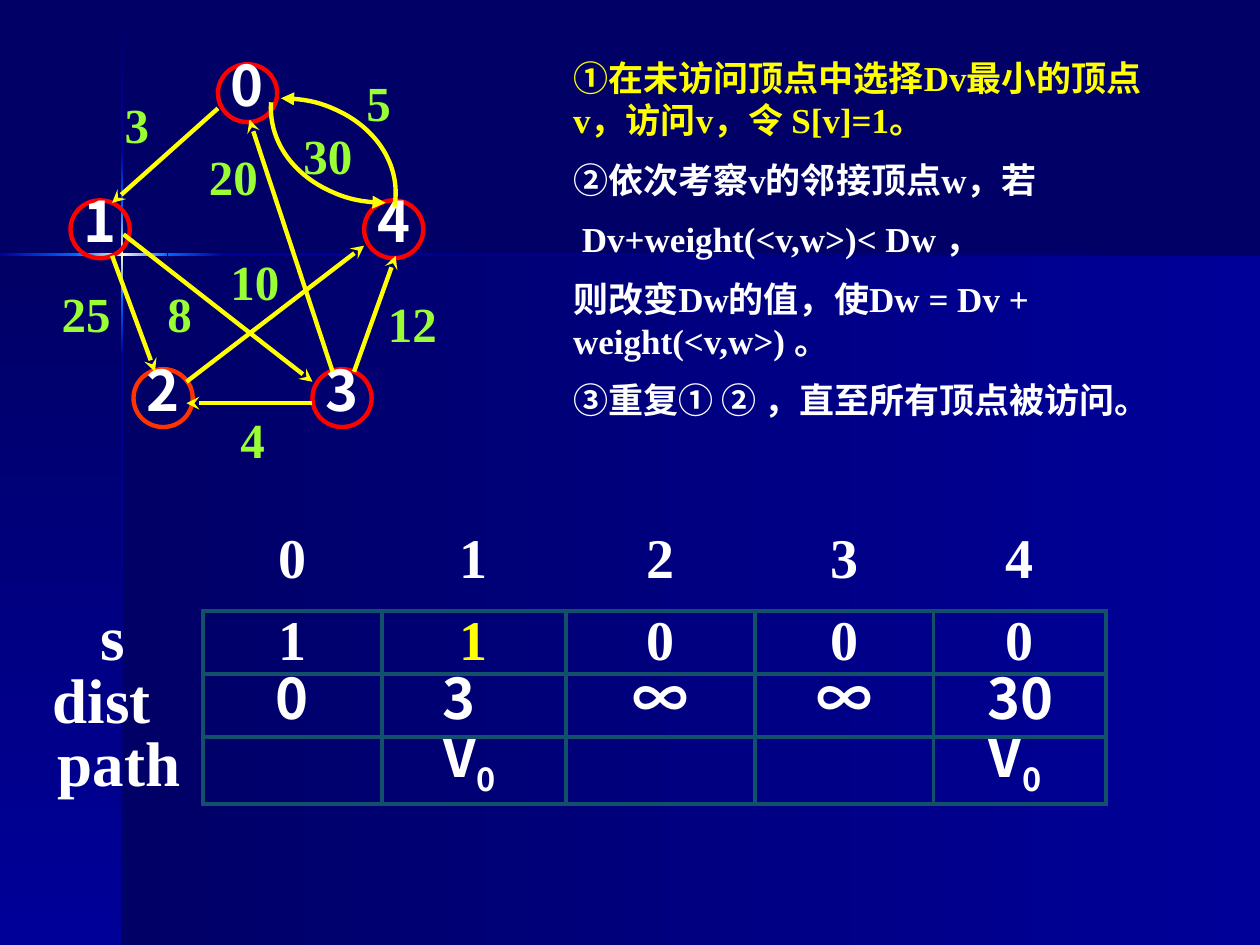
import pptx
import pptx.util
import pptx.dml.color
import pptx.enum.shapes
import pptx.enum.text
import pptx.oxml
import pptx.oxml.ns
from lxml import etree

Inches, Pt = pptx.util.Inches, pptx.util.Pt
SHAPE = pptx.enum.shapes.MSO_SHAPE
ALIGN = pptx.enum.text.PP_ALIGN
MIDDLE = pptx.enum.text.MSO_ANCHOR.MIDDLE

SERIF, SANS = "Times New Roman", "Noto Sans CJK SC"
WHITE, YELLOW, RED, GREEN, TEAL = "FFFFFF", "FFFF00", "FF0000", "99FF33", "135069"
NAVY, BLUE, GLOW, SPARK = "000066", "000099", "0066FF", "FFFFCC"

# left, top, width, height, angle, gradient colours
BACKDROP = [
    (0.97, 2.02, 9.03, 5.48, 0, [NAVY, BLUE]),
    (0, 2.02, 0.97, 5.48, 90, [NAVY, BLUE]),
    (0.96, 0.01, 0.02, 1.2, 90, [NAVY, BLUE]),
    (0.96, 2.82, 0.02, 4.68, 90, [BLUE, NAVY]),
    (1.77, 2.01, 8.23, 0.02, 0, [BLUE, NAVY]),
    (0.96, 2.38, 0.02, 0.44, 90, [GLOW, BLUE]),
    (0.96, 1.21, 0.02, 0.44, 90, [BLUE, GLOW]),
    (0.96, 1.65, 0.02, 0.73, 90, [GLOW, SPARK, GLOW]),
    (0, 2.01, 0.61, 0.02, 0, [BLUE, GLOW]),
    (1.33, 2.01, 0.44, 0.02, 0, [GLOW, BLUE]),
    (0.6, 2.01, 0.73, 0.02, 0, [GLOW, SPARK, GLOW]),
]

NODES = [("0", 1.73, 0.51, RED), ("1", 0.56, 1.59, RED), ("2", 1.06, 2.93, "FF3300"),
         ("3", 2.48, 2.93, RED), ("4", 2.89, 1.59, RED)]
WEIGHTS = [("3", 0.89, 0.7), ("25", 0.39, 2.2), ("8", 1.23, 2.2), ("10", 1.73, 1.95),
           ("20", 1.56, 1.11), ("4", 1.81, 3.2), ("5", 2.81, 0.53), ("30", 2.31, 0.95),
           ("12", 2.98, 2.28)]
EDGES = [(0.89, 2.03, 1.23, 2.95), (2.48, 3.2, 1.48, 3.2), (2.81, 2.95, 3.14, 2.03),
         (2.64, 2.95, 1.98, 0.95), (0.98, 1.86, 2.48, 3.03), (1.48, 3.03, 2.89, 1.95),
         (1.73, 0.86, 0.89, 1.61)]
# centre x, centre y, start angle, end angle
CURVES = [(2.23, 1.53, 270, 7), (3.06, 0.86, 90, 183)]
CURVE_RADII = (0.91, 0.75)

# text, colour, indent
STEPS = [
    ("①在未访问顶点中选择Dv最小的顶点v，访问v，令 S[v]=1。", YELLOW, 0),
    ("②依次考察v的邻接顶点w，若", WHITE, 0),
    ("Dv+weight(<v,w>)< Dw ，", WHITE, 0.07),
    ("则改变Dw的值，使Dw = Dv + weight(<v,w>) 。", WHITE, 0),
    ("③重复① ② ，直至所有顶点被访问。", WHITE, 0),
]

COLUMN_EDGES = [1.61, 3.03, 4.49, 5.99, 7.41, 8.78]
TABLE_TOP, ROW_HEIGHT = 4.85, 0.5
ROWS = [["1", "1", "0", "0", "0"],
        ["0", "3", "∞", "∞", "30"],
        ["", "V0", "", "", "V0"]]
LEFT_MARGINS = {1: 0.48, 4: 0.43}
ROW_LABELS = [("s", 0.7, 0.58), ("dist", 0.32, 1.25), ("path", 0.36, 1.25)]


def rgb(color):
    return pptx.dml.color.RGBColor.from_string(color)


def style(para, size, font, color):
    para.font.size, para.font.name, para.font.bold = Pt(size), font, True
    para.font.color.rgb = rgb(color)


def add_shape(kind, left, top, width, height, line=None):
    shape = slide.shapes.add_shape(
        kind, Inches(left), Inches(top), Inches(width), Inches(height))
    shape.shadow.inherit = False
    shape.fill.background()
    if line:
        shape.line.color.rgb, shape.line.width = rgb(line), Pt(2.5)
    else:
        shape.line.fill.background()
    return shape


def add_text(text, left, top, width, height, size, color, align=ALIGN.LEFT):
    box = slide.shapes.add_textbox(
        Inches(left), Inches(top), Inches(width), Inches(height))
    box.text_frame.word_wrap = True
    para = box.text_frame.paragraphs[0]
    para.text, para.alignment = text, align
    style(para, size, SERIF, color)
    return box


def add_arrowhead(shape, end, kind):
    etree.SubElement(shape.line._get_or_add_ln(), pptx.oxml.ns.qn("a:" + end), type=kind)


def fill_gradient(shape, angle, colors):
    stops = "".join(
        f'<a:gs pos="{100000 * i // (len(colors) - 1)}"><a:srgbClr val="{color}"/></a:gs>'
        for i, color in enumerate(colors))
    gradient = pptx.oxml.parse_xml(
        f'<a:gradFill {pptx.oxml.ns.nsdecls("a")}><a:gsLst>{stops}</a:gsLst>'
        f'<a:lin ang="{angle * 60000}" scaled="0"/></a:gradFill>')
    properties = shape._element.spPr
    properties.replace(properties.find(pptx.oxml.ns.qn("a:noFill")), gradient)


def set_borders(cell, color, width):
    for i, side in enumerate(("lnL", "lnR", "lnT", "lnB")):
        cell._tc.get_or_add_tcPr().insert(i, pptx.oxml.parse_xml(
            f'<a:{side} {pptx.oxml.ns.nsdecls("a")} w="{Pt(width)}"><a:solidFill>'
            f'<a:srgbClr val="{color}"/></a:solidFill></a:{side}>'))


def draw_graph():
    for name, left, top, color in NODES:
        node = add_shape(SHAPE.OVAL, left, top, 0.47, 0.46, color)
        frame = node.text_frame
        frame.word_wrap, frame.vertical_anchor = False, MIDDLE
        frame.margin_left = frame.margin_right = frame.margin_top = 0
        frame.margin_bottom = Inches(0.14)
        para = frame.paragraphs[0]
        para.text, para.alignment = name, ALIGN.CENTER
        style(para, 32, SANS, WHITE)
    for weight, left, top in WEIGHTS:
        add_text(weight, left, top, 0.25 + 0.25 * len(weight), 0.57, 28, GREEN)
    for edge in EDGES:
        arrow = slide.shapes.add_connector(
            pptx.enum.shapes.MSO_CONNECTOR.STRAIGHT, *map(Inches, edge))
        arrow.line.color.rgb, arrow.line.width = rgb(YELLOW), Pt(2.5)
        add_arrowhead(arrow, "tailEnd", "stealth")
        etree.SubElement(arrow._element.spPr, pptx.oxml.ns.qn("a:effectLst"))
    radius_x, radius_y = CURVE_RADII
    for x, y, start, end in CURVES:
        curve = add_shape(SHAPE.ARC, x - radius_x, y - radius_y,
                          2 * radius_x, 2 * radius_y, YELLOW)
        # Adjustments count in 100000ths, angles in 60000ths of a degree
        curve.adjustments[0], curve.adjustments[1] = start * 0.6, end * 0.6
        add_arrowhead(curve, "headEnd", "triangle")


def draw_steps():
    frame = add_text("", 4.45, 0.4, 5, 3.1, 20, WHITE).text_frame
    for i, (text, color, indent) in enumerate(STEPS):
        para = frame.add_paragraph() if i else frame.paragraphs[0]
        para.text = text
        if indent:
            para._p.get_or_add_pPr().set("marL", str(Inches(indent)))
        if i:
            para.space_before = Pt(10)
        style(para, 20, SERIF, color)


def draw_table():
    left, right = COLUMN_EDGES[0], COLUMN_EDGES[-1]
    frame = slide.shapes.add_table(
        len(ROWS), len(ROWS[0]), Inches(left), Inches(TABLE_TOP),
        Inches(right - left), Inches(ROW_HEIGHT * len(ROWS)))
    table = frame.table
    table.first_row = table.horz_banding = False
    for i, (start, end) in enumerate(zip(COLUMN_EDGES, COLUMN_EDGES[1:])):
        table.columns[i].width = Inches(end - start)
        add_text(str(i), (start + end) / 2 - 0.21, 4.1, 0.42, 0.63, 32, WHITE, ALIGN.CENTER)
    for r, values in enumerate(ROWS):
        label, label_left, label_width = ROW_LABELS[r]
        add_text(label, label_left, TABLE_TOP - 0.16 + r * ROW_HEIGHT,
                 label_width, 0.7, 36, WHITE)
        table.rows[r].height = Inches(ROW_HEIGHT)
        for c, value in enumerate(values):
            cell = table.cell(r, c)
            cell.fill.background()
            set_borders(cell, TEAL, 2.5)
            cell.vertical_anchor = MIDDLE
            cell.margin_left = cell.margin_right = cell.margin_top = cell.margin_bottom = 0
            para = cell.text_frame.paragraphs[0]
            para.alignment, para.line_spacing = ALIGN.CENTER, Pt(34)
            if r and c in LEFT_MARGINS:
                para.alignment, cell.margin_left = ALIGN.LEFT, Inches(LEFT_MARGINS[c])
            style(para, 32, SANS if r else SERIF, YELLOW if (r, c) == (0, 1) else WHITE)
            if value.startswith("V"):
                para.add_run().text = value[0]
                span = para.add_run()
                span.text = value[1:]
                span._r.get_or_add_rPr().set("baseline", "-25000")
            elif value:
                para.add_run().text = value


deck = pptx.Presentation()
deck.slide_width, deck.slide_height = Inches(10), Inches(7.5)
slide = deck.slides.add_slide(deck.slide_layouts[6])
slide.background.fill.solid()
slide.background.fill.fore_color.rgb = rgb(NAVY)
for *place, angle, colors in BACKDROP:
    fill_gradient(add_shape(SHAPE.RECTANGLE, *place), angle, colors)
draw_graph()
draw_steps()
draw_table()
deck.save("out.pptx")
